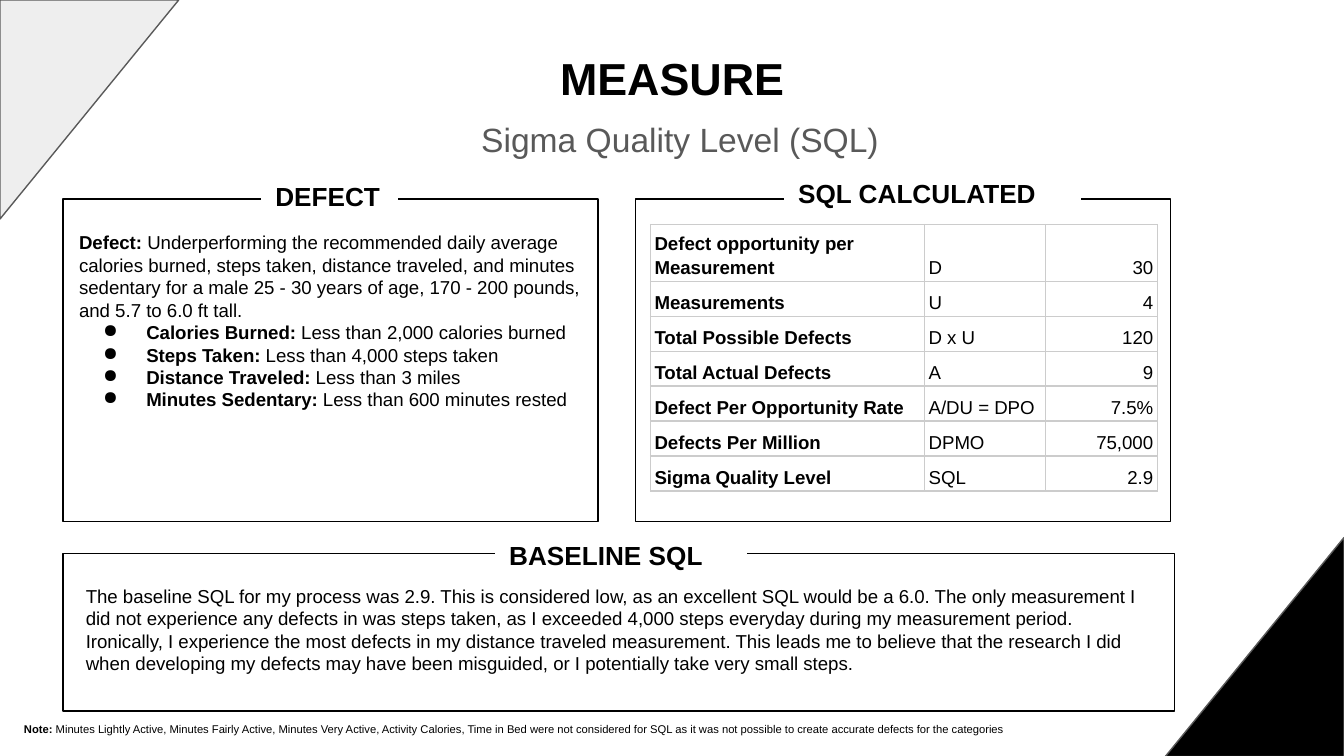
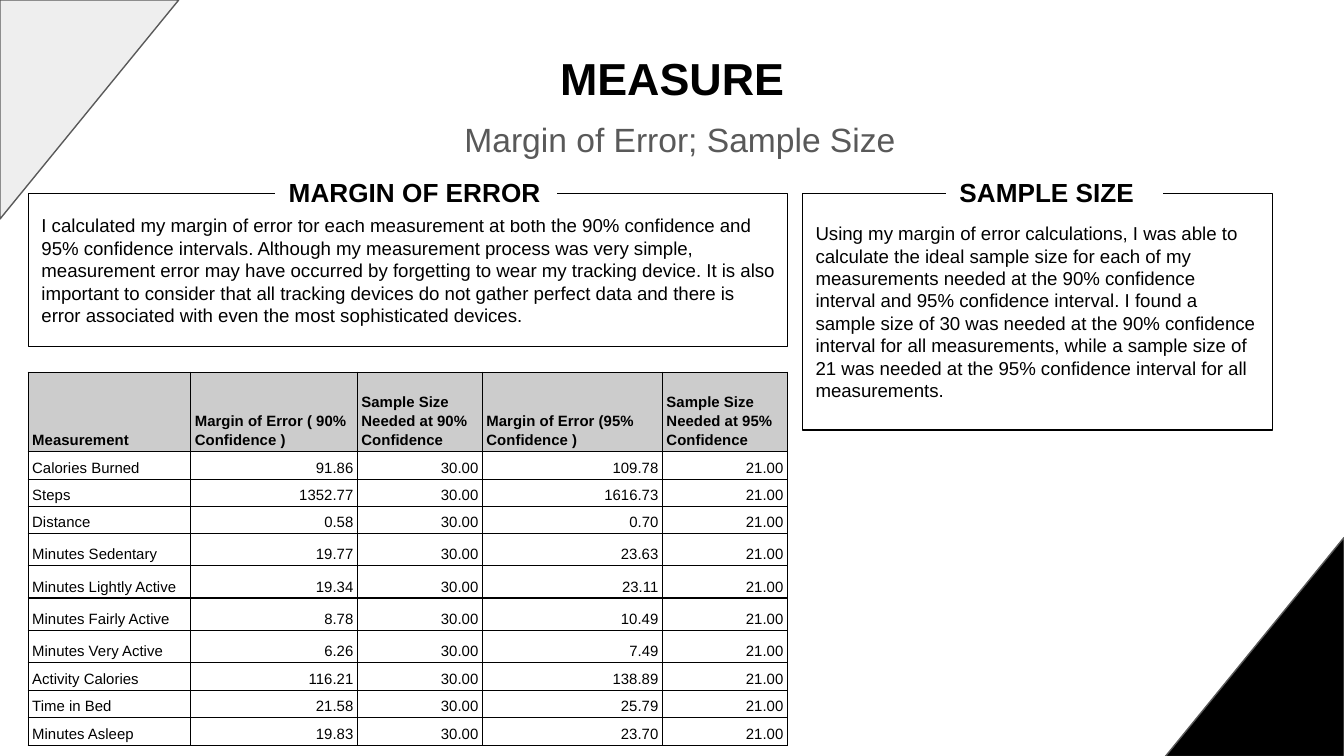
from lxml.etree import SubElement as Sub
from pptx import Presentation
from pptx.dml.color import RGBColor as Rgb
from pptx.enum.shapes import MSO_SHAPE as Kind
from pptx.enum.text import MSO_ANCHOR as Anchor, PP_ALIGN as Align
from pptx.oxml.ns import qn
from pptx.util import Inches, Pt

FONT = "Arial"
COLORS = {"ink": "000000", "paper": "FFFFFF", "gray": "595959",
          "pale": "EEEEEE", "head": "CCCCCC"}


def tint(name):
    return Rgb.from_string(COLORS[name])


def place(box):
    return [Inches(n) for n in box]


class Deck:
    def __init__(self):
        self.show = Presentation()
        self.show.slide_width = Inches(10)
        self.show.slide_height = Inches(5.625)
        self.slide = None

    def page(self, topic):
        """Start a slide with the shared titles and corners."""
        self.slide = self.show.slides.add_slide(self.show.slide_layouts[6])
        self.text((0.34, 0.14, 9.32, 0.74), ["MEASURE"], 24, bold=True,
                  align=Align.CENTER, anchor=Anchor.BOTTOM)
        self.text((0.4, 0.82, 9.32, 0.49), [topic], 18, color="gray",
                  align=Align.CENTER, space=0.9)
        self.shape((-0.15, 0.15, 1.63, 1.33), "pale", "gray",
                   Kind.RIGHT_TRIANGLE, 90)
        self.shape((8.52, 4.15, 1.63, 1.33), "ink", "gray",
                   Kind.RIGHT_TRIANGLE, 270)

    def shape(self, box, fill, line, kind=Kind.RECTANGLE, turn=0):
        item = self.slide.shapes.add_shape(kind, *place(box))
        item.shadow.inherit = False
        item.rotation = turn
        item.fill.solid()
        item.fill.fore_color.rgb = tint(fill)
        item.line.color.rgb = tint(line)
        item.line.width = Pt(0.75)
        return item

    def put(self, frame, paras, size, bold=False, color="ink",
            align=Align.LEFT, anchor=Anchor.TOP, space=None):
        """Fill a frame; a (lead, rest) pair has a bold lead."""
        frame.word_wrap = True
        frame.vertical_anchor = anchor
        frame.margin_left = frame.margin_right = Inches(0.1)
        frame.margin_top = frame.margin_bottom = Inches(0.1)
        for i, item in enumerate(paras):
            para = frame.add_paragraph() if i else frame.paragraphs[0]
            para.alignment = align
            if space:
                para.line_spacing = space
            if i:
                self.bullet(para)
            self.style(para, item, size, bold, color)

    def style(self, para, item, size, bold, color):
        font = para.font
        font.name, font.size = FONT, Pt(size)
        font.color.rgb = tint(color)
        if isinstance(item, str):
            font.bold = bold
            para.add_run().text = item
            return
        for words, heavy in zip(item, (True, False)):
            run = para.add_run()
            run.text, run.font.bold = words, heavy

    def bullet(self, para):
        props = para._p.get_or_add_pPr()
        props.set("marL", str(Inches(0.5)))
        props.set("indent", str(Inches(-0.32)))
        Sub(Sub(props, qn("a:buClr")), qn("a:srgbClr"), val=COLORS["ink"])
        Sub(props, qn("a:buChar"), char="●")

    def text(self, box, paras, size=10, **look):
        item = self.slide.shapes.add_textbox(*place(box))
        self.put(item.text_frame, paras, size, **look)

    def panel(self, box, words=None):
        item = self.shape(box, "paper", "ink")
        if words:
            self.put(item.text_frame, [words], 10, anchor=Anchor.MIDDLE)

    def label(self, box, words):
        """Heading that breaks the top edge of a panel."""
        item = self.shape(box, "paper", "paper")
        self.put(item.text_frame, [words], 14, bold=True,
                 anchor=Anchor.MIDDLE)

    def table(self, spot, cols, rows, data, size, edge, heavy, right, head):
        """heavy and right test a cell's row and column."""
        box = (*spot, sum(cols), sum(rows))
        grid = self.slide.shapes.add_table(len(rows), len(cols),
                                           *place(box)).table
        grid.first_row = grid.horz_banding = False
        for col, width in zip(grid.columns, cols):
            col.width = Inches(width)
        for r, values in enumerate(data):
            grid.rows[r].height = Inches(rows[r])
            for c, value in enumerate(values):
                cell = grid.cell(r, c)
                para = cell.text_frame.paragraphs[0]
                para.alignment = Align.RIGHT if right(r, c) else Align.LEFT
                para.line_spacing = 1.15
                self.style(para, value, size, heavy(r, c), "ink")
                cell.vertical_anchor = Anchor.BOTTOM
                cell.margin_left = cell.margin_right = Inches(0.03)
                cell.margin_top = cell.margin_bottom = Inches(0.02)
                self.edges(cell, edge)
                if head and r == 0:
                    cell.fill.solid()
                    cell.fill.fore_color.rgb = tint(head)
                else:
                    cell.fill.background()

    def edges(self, cell, color):
        props = cell._tc.get_or_add_tcPr()
        for side in ("lnL", "lnR", "lnT", "lnB"):
            line = Sub(props, qn("a:" + side), w=str(Pt(0.83)))
            Sub(Sub(line, qn("a:solidFill")), qn("a:srgbClr"),
                val=COLORS[color])


def sigma(deck):
    deck.page("Sigma Quality Level (SQL)")

    # Defect
    deck.panel((0.47, 1.48, 3.98, 2.4))
    deck.label((1.95, 1.26, 1.01, 0.4), "DEFECT")
    deck.text((0.49, 1.62, 3.94, 1.95), [
        ("Defect: ", "Underperforming the recommended daily average calories "
         "burned, steps taken, distance traveled, and minutes sedentary for "
         "a male 25 - 30 years of age, 170 - 200 pounds, and 5.7 to 6.0 ft "
         "tall."),
        ("Calories Burned:", " Less than 2,000 calories burned"),
        ("Steps Taken:", " Less than 4,000 steps taken"),
        ("Distance Traveled:", " Less than 3 miles"),
        ("Minutes Sedentary: ", "Less than 600 minutes rested")])

    # Calculated level
    deck.panel((4.73, 1.48, 3.98, 2.4))
    deck.table((4.84, 1.67), [2.04, 0.9, 0.83], [0.42] + [0.26] * 6, [
        ("Defect opportunity per Measurement", "D", "30"),
        ("Measurements", "U", "4"),
        ("Total Possible Defects", "D x U", "120"),
        ("Total Actual Defects", "A", "9"),
        ("Defect Per Opportunity Rate", "A/DU = DPO", "7.5%"),
        ("Defects Per Million", "DPMO", "75,000"),
        ("Sigma Quality Level", "SQL", "2.9"),
    ], 10, "head", heavy=lambda r, c: c == 0, right=lambda r, c: c == 2,
        head=None)
    deck.label((5.84, 1.24, 2.2, 0.4), "SQL CALCULATED")

    # Baseline
    deck.panel((0.47, 4.12, 8.27, 1.17))
    deck.label((3.69, 3.93, 1.86, 0.4), "BASELINE SQL")
    deck.text((0.54, 4.25, 8.06, 0.88), [
        "The baseline SQL for my process was 2.9. This is considered low, as "
        "an excellent SQL would be a 6.0. The only measurement I did not "
        "experience any defects in was steps taken, as I exceeded 4,000 "
        "steps everyday during my measurement period. Ironically, I "
        "experience the most defects in my distance traveled measurement. "
        "This leads me to believe that the research I did when developing my "
        "defects may have been misguided, or I potentially take very small "
        "steps."])

    # Note
    deck.text((0.08, 5.3, 8.02, 0.32), [
        ("Note:", " Minutes Lightly Active, Minutes Fairly Active, Minutes "
         "Very Active, Activity Calories, Time in Bed were not considered "
         "for SQL as it was not possible to create accurate defects for the "
         "categories")], 6, space=1.15)


def margin(deck):
    deck.page("Margin of Error; Sample Size")

    # Margins by measurement
    heads = ("Measurement", "Margin of Error ( 90% Confidence )",
             "Sample Size Needed at 90% Confidence",
             "Margin of Error (95% Confidence )",
             "Sample Size Needed at 95% Confidence")
    errors = [("Calories Burned", "91.86", "109.78"),
              ("Steps", "1352.77", "1616.73"),
              ("Distance", "0.58", "0.70"),
              ("Minutes Sedentary", "19.77", "23.63"),
              ("Minutes Lightly Active", "19.34", "23.11"),
              ("Minutes Fairly Active", "8.78", "10.49"),
              ("Minutes Very Active", "6.26", "7.49"),
              ("Activity Calories", "116.21", "138.89"),
              ("Time in Bed", "21.58", "25.79"),
              ("Minutes Asleep", "19.83", "23.70")]
    data = [heads] + [(name, low, "30.00", high, "21.00")
                      for name, low, high in errors]
    rows = [0.59, 0.21, 0.2, 0.2] + [0.24] * 4 + [0.21, 0.2, 0.21]
    deck.table((0.21, 2.77), [1.21, 1.24, 0.93, 1.34, 0.93], rows, data, 8,
               "ink", heavy=lambda r, c: r == 0,
               right=lambda r, c: r > 0 and c > 0, head="head")

    # Margin of error
    deck.panel((0.21, 1.44, 5.65, 1.14),
               "I calculated my margin of error for each measurement at both "
               "the 90% confidence and 95% confidence intervals. Although my "
               "measurement process was very simple, measurement error may "
               "have occurred by forgetting to wear my tracking device. It "
               "is also important to consider that all tracking devices do "
               "not gather perfect data and there is error associated with "
               "even the most sophisticated devices.")
    deck.label((2.05, 1.23, 2.09, 0.4), "MARGIN OF ERROR")

    # Sample size
    deck.panel((5.97, 1.44, 3.5, 1.76),
               "Using my margin of error calculations, I was able to "
               "calculate the ideal sample size for each of my measurements "
               "needed at the 90% confidence interval and 95% confidence "
               "interval. I found a sample size of 30 was needed at the 90% "
               "confidence interval for all measurements, while a sample "
               "size of 21 was needed at the 95% confidence interval for all "
               "measurements.")
    deck.label((7.04, 1.23, 1.61, 0.4), "SAMPLE SIZE")


def main():
    deck = Deck()
    sigma(deck)
    margin(deck)
    deck.show.save("out.pptx")


if __name__ == "__main__":
    main()
